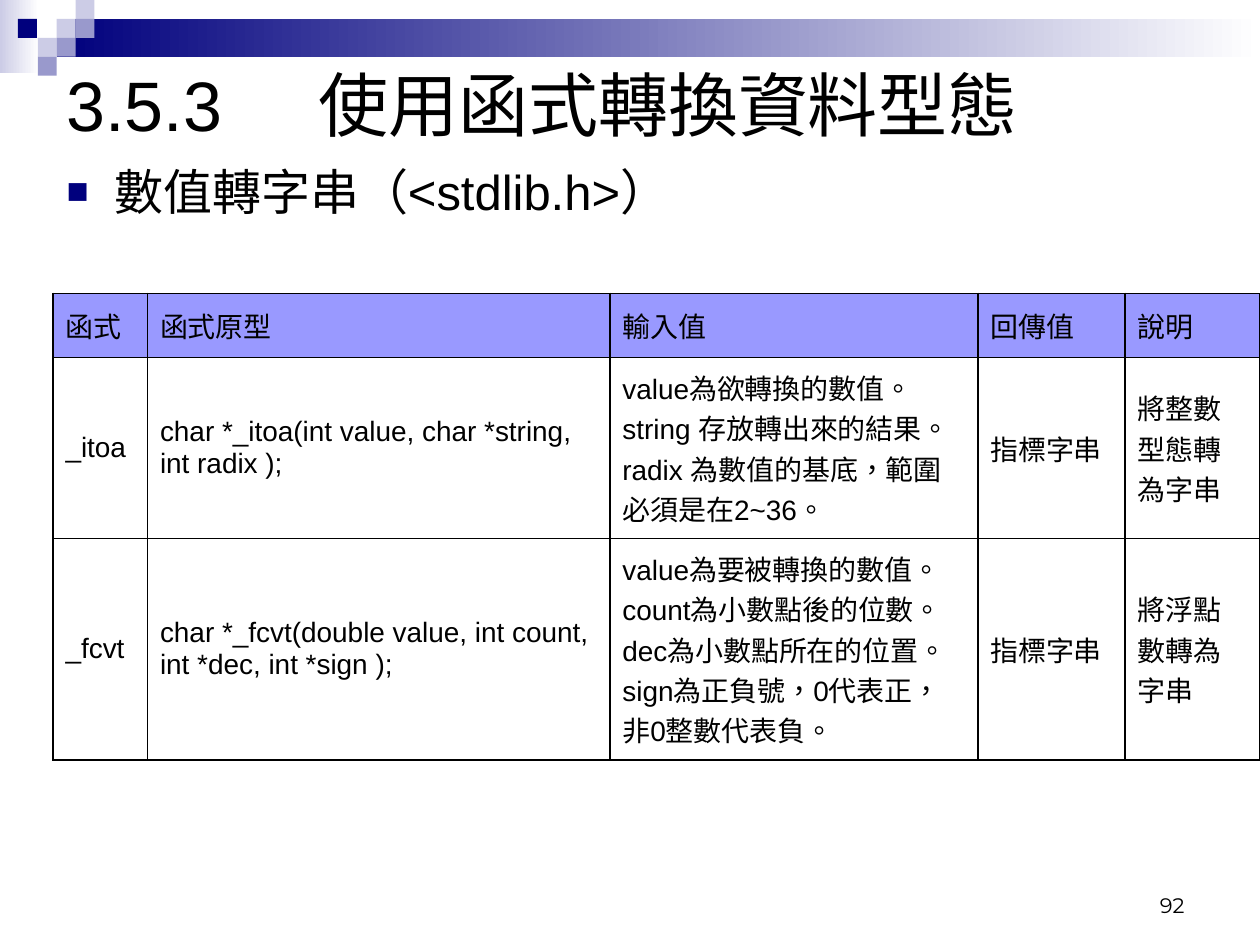
from lxml.etree import SubElement
from pptx import Presentation
from pptx.dml.color import RGBColor
from pptx.enum.lang import MSO_LANGUAGE_ID
from pptx.enum.shapes import MSO_SHAPE
from pptx.enum.text import MSO_ANCHOR, PP_ALIGN
from pptx.oxml.ns import qn
from pptx.util import Inches, Pt

BLACK = RGBColor(0x00, 0x00, 0x00)
WHITE = RGBColor(0xFF, 0xFF, 0xFF)
NAVY = RGBColor(0x00, 0x00, 0x7D)
LAVENDER = RGBColor(0x99, 0x99, 0xCC)
PALE = RGBColor(0xCC, 0xCC, 0xE6)
HEADER = RGBColor(0x99, 0x99, 0xFF)

TITLE = "3.5.3\t使用函式轉換資料型態"
TOPIC = "數值轉字串（<stdlib.h>）"
PAGE_NUMBER = "92"
ROWS = [
    ("函式", "函式原型", "輸入值", "回傳值", "說明"),
    ("_itoa", "char *_itoa(int value, char *string, int radix );",
     "value為欲轉換的數值。string 存放轉出來的結果。radix 為數值的基底，範圍必須是在2~36。",
     "指標字串", "將整數型態轉為字串"),
    ("_fcvt", "char *_fcvt(double value, int count, int *dec, int *sign );",
     "value為要被轉換的數值。count為小數點後的位數。dec為小數點所在的位置。"
     "sign為正負號，0代表正，非0整數代表負。",
     "指標字串", "將浮點數轉為字串"),
]
COLUMN_WIDTHS = [0.75, 3.67, 2.92, 1.17, 1.07]
ROW_HEIGHTS = [0.51, 1.43, 1.76]
THICK, THIN = 1.08, 0.45

SQUARE = 0.15
# column, row, colour on the grid of small squares
SQUARES = [(3, 1, PALE), (4, 0, PALE), (4, 1, LAVENDER), (2, 2, PALE),
           (0.95, 1, NAVY), (3, 2, LAVENDER), (2, 3, LAVENDER)]
# left, top, width, height, colour at the left end
FADES = [(0, 0, 0.31, 0.58, PALE), (0.45, 0.15, 9.55, 0.3, NAVY)]


def add_rectangle(page, *place):
    shape = page.shapes.add_shape(MSO_SHAPE.RECTANGLE, *map(Inches, place))
    shape.shadow.inherit = False
    shape.line.fill.background()
    return shape


def add_decoration(page):
    for *place, colour in FADES:
        fill = add_rectangle(page, *place).fill
        fill.gradient()
        fill.gradient_angle = 180
        for stop, stop_colour in zip(fill.gradient_stops, (WHITE, colour)):
            stop.color.rgb = stop_colour
    for column, row, colour in SQUARES:
        fill = add_rectangle(page, column * SQUARE, row * SQUARE, SQUARE, SQUARE).fill
        fill.solid()
        fill.fore_color.rgb = colour


def write(frame, text, size, font="Arial", align=PP_ALIGN.LEFT):
    paragraph = frame.paragraphs[0]
    paragraph.alignment = align
    span = paragraph.add_run()
    span.text = text
    span.font.size = Pt(size)
    span.font.name = font
    span.font.color.rgb = BLACK
    span.font.language_id = MSO_LANGUAGE_ID.TRADITIONAL_CHINESE
    return paragraph


def add_text(page, place, text, size, anchor=MSO_ANCHOR.TOP, **text_format):
    frame = page.shapes.add_textbox(*map(Inches, place)).text_frame
    frame.word_wrap = True
    frame.vertical_anchor = anchor
    return write(frame, text, size, **text_format)


def add_tab(paragraph, position):
    tabs = SubElement(paragraph._p.get_or_add_pPr(), qn("a:tabLst"))
    SubElement(tabs, qn("a:tab"), pos=str(Inches(position)), algn="l")


def add_bullet(paragraph, character, colour, percent, indent):
    properties = paragraph._p.get_or_add_pPr()
    properties.set("marL", str(Inches(indent)))
    properties.set("indent", str(-Inches(indent)))
    bullet_colour = SubElement(properties, qn("a:buClr"))
    SubElement(bullet_colour, qn("a:srgbClr"), val=str(colour))
    SubElement(properties, qn("a:buSzPct"), val=str(percent * 1000))
    SubElement(properties, qn("a:buFont"), typeface="Arial")
    SubElement(properties, qn("a:buChar"), char=character)


def set_borders(cell, **widths):
    properties = cell._tc.get_or_add_tcPr()
    for side, width in widths.items():
        line = SubElement(properties, qn(f"a:ln{side}"), w=str(Pt(width)))
        fill = SubElement(line, qn("a:solidFill"))
        SubElement(fill, qn("a:srgbClr"), val=str(BLACK))


def add_function_table(page, left, top):
    size = Inches(sum(COLUMN_WIDTHS)), Inches(sum(ROW_HEIGHTS))
    table = page.shapes.add_table(len(ROWS), len(COLUMN_WIDTHS),
                                  Inches(left), Inches(top), *size).table
    for column, width in zip(table.columns, COLUMN_WIDTHS):
        column.width = Inches(width)
    for row, height in zip(table.rows, ROW_HEIGHTS):
        row.height = Inches(height)
    last = len(ROWS) - 1
    for r, texts in enumerate(ROWS):
        for c, text in enumerate(texts):
            cell = table.cell(r, c)
            cell.vertical_anchor = MSO_ANCHOR.MIDDLE
            write(cell.text_frame, text, 16)
            set_borders(cell, L=THICK, R=THICK,
                        T=THICK if r == 0 else THIN,
                        B=THICK if r == last else THIN)
            if r == 0:
                cell.fill.solid()
                cell.fill.fore_color.rgb = HEADER
            else:
                cell.fill.background()


def main():
    deck = Presentation()
    deck.slide_width, deck.slide_height = Inches(10), Inches(7.5)
    page = deck.slides.add_slide(deck.slide_layouts[6])
    add_decoration(page)
    title = add_text(page, (0.43, 0.36, 8.17, 0.92), TITLE, 40, MSO_ANCHOR.MIDDLE)
    add_tab(title, 2)
    topic = add_text(page, (0.43, 1.23, 9, 1.1), TOPIC, 28)
    add_bullet(topic, "■", NAVY, percent=75, indent=0.38)
    add_function_table(page, 0.42, 2.33)
    add_text(page, (7.17, 6.83, 2.33, 0.5), PAGE_NUMBER, 12, MSO_ANCHOR.BOTTOM,
             font="Montserrat", align=PP_ALIGN.RIGHT)
    deck.save("out.pptx")


if __name__ == "__main__":
    main()
